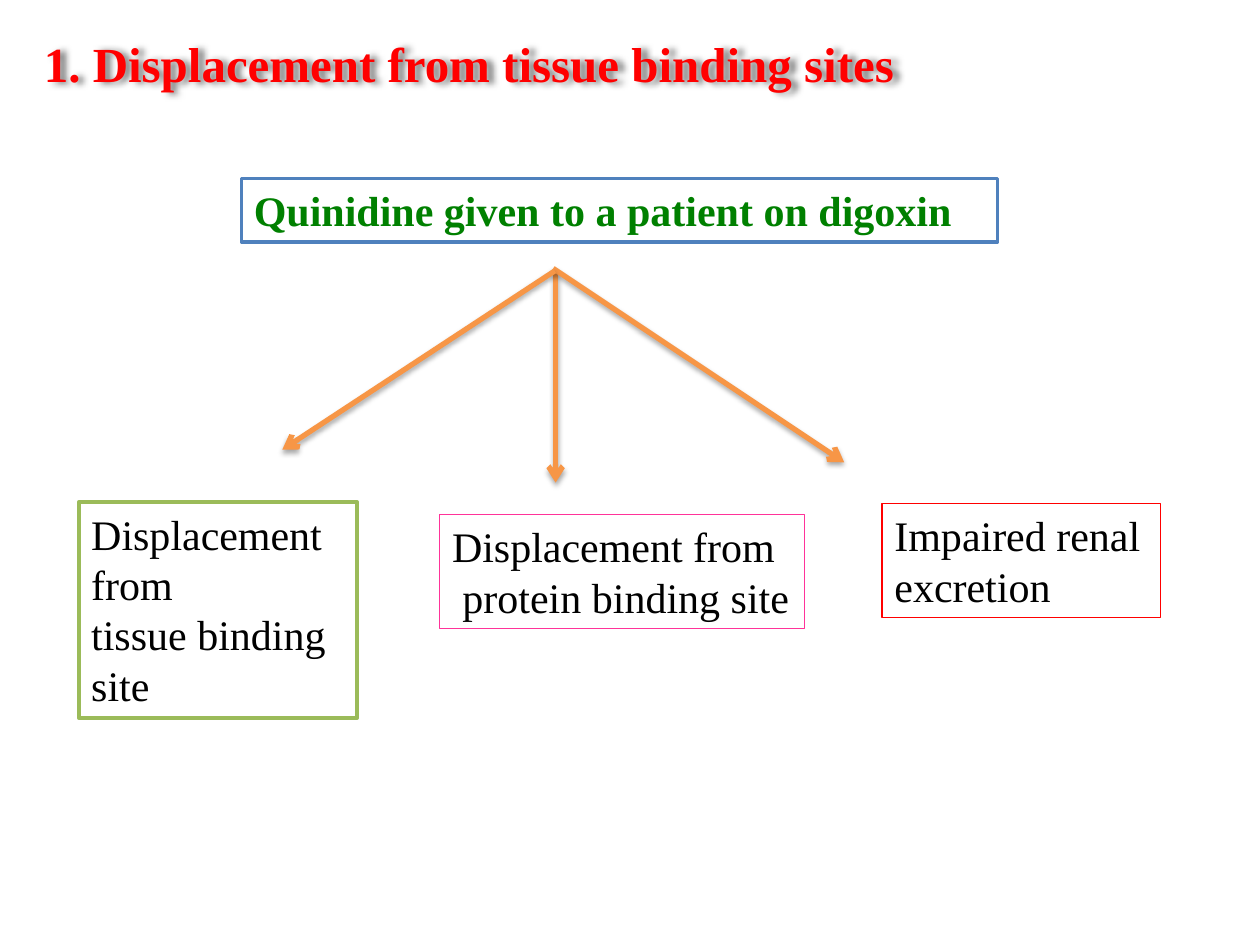
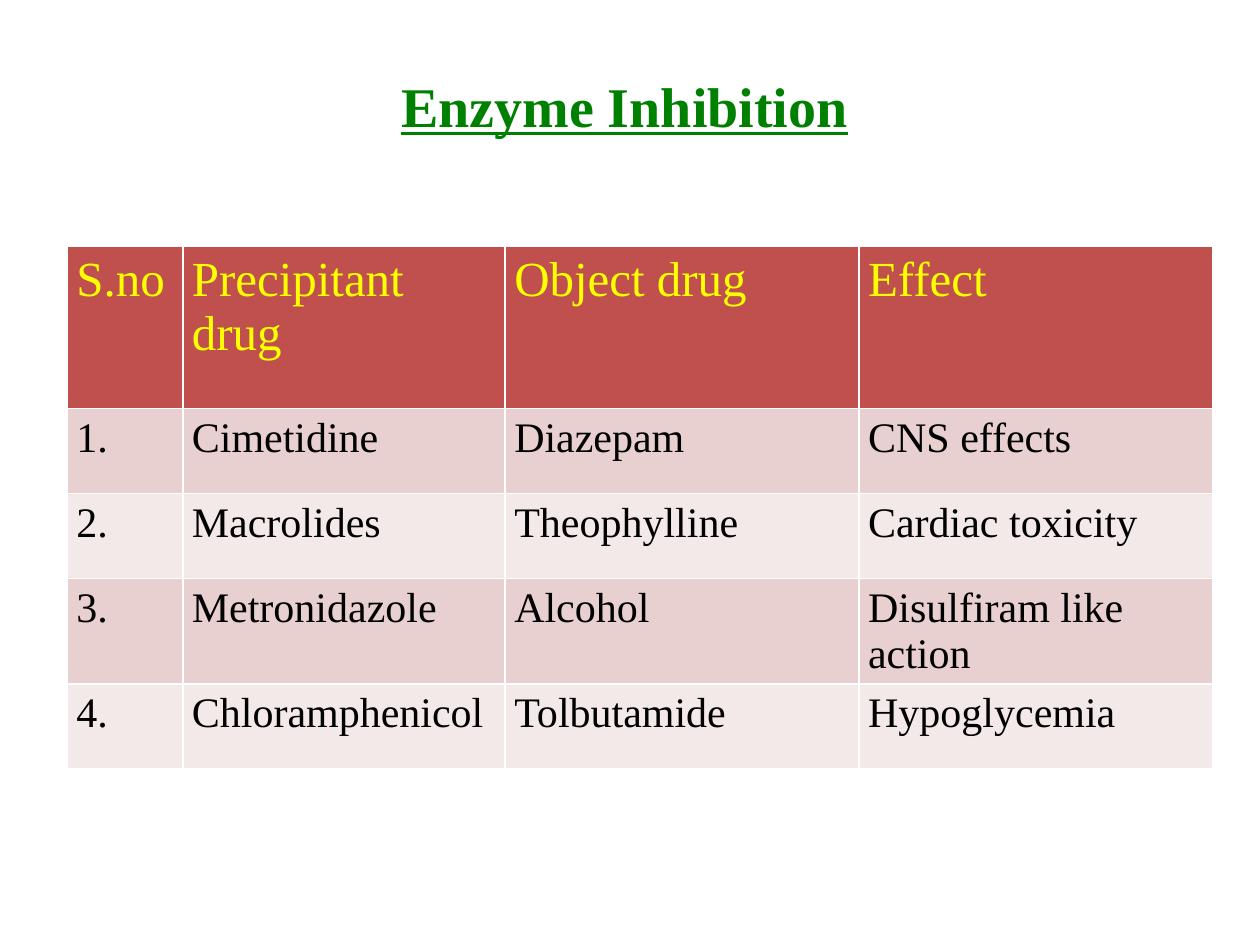
from lxml import etree
from pptx import Presentation
from pptx.dml.color import RGBColor
from pptx.enum.shapes import MSO_CONNECTOR, MSO_SHAPE
from pptx.enum.text import MSO_ANCHOR, PP_ALIGN
from pptx.oxml.ns import qn
from pptx.util import Pt

LINE = MSO_CONNECTOR.STRAIGHT
RECT = MSO_SHAPE.RECTANGLE
TOP = MSO_ANCHOR.TOP
LEFT, MID = PP_ALIGN.LEFT, PP_ALIGN.CENTER

FONT = "Times New Roman"
BLACK, WHITE = "000000", "FFFFFF"
RED, GREEN, YELLOW = "FF0000", "008000", "FFFF00"
BLUE, LIME, PINK, ORANGE = "4F81BD", "9BBB59", "FF3399", "F79646"
HEAD, BANDS = "C0504D", ("E8D0D0", "F4E9E9")


def tint(code):
    return RGBColor.from_string(code)


def write(frame, text, size=24, color=BLACK, bold=False, under=False,
          align=LEFT, lead=1.2):
    frame.text = text
    for para in frame.paragraphs:
        para.alignment = align
        if lead:
            para.line_spacing = Pt(size * lead)
        for run in para.runs:
            font = run.font
            font.name, font.size = FONT, Pt(size)
            font.bold, font.underline = bold, under
            font.color.rgb = tint(color)


def shade(shape, blur, dist, angle, alpha):
    props = shape._element.spPr
    for old in props.findall(qn("a:effectLst")):
        props.remove(old)
    glow = etree.SubElement(etree.SubElement(props, qn("a:effectLst")),
                            qn("a:outerShdw"), blurRad=str(Pt(blur)),
                            dist=str(Pt(dist)), dir=str(angle * 60000),
                            rotWithShape="0")
    ink = etree.SubElement(glow, qn("a:srgbClr"), val=BLACK)
    etree.SubElement(ink, qn("a:alpha"), val=str(alpha * 1000))


def edge(cell, width=1):
    props = cell._tc.get_or_add_tcPr()
    for spot, side in enumerate("LRTB"):
        line = etree.Element(qn(f"a:ln{side}"), w=str(Pt(width)))
        fill = etree.SubElement(line, qn("a:solidFill"))
        etree.SubElement(fill, qn("a:srgbClr"), val=WHITE)
        props.insert(spot, line)


class Deck:
    def __init__(self):
        self.show = Presentation()
        self.show.slide_width, self.show.slide_height = Pt(720), Pt(540)
        self.slide = None

    def page(self):
        self.slide = self.show.slides.add_slide(self.show.slide_layouts[6])

    def title(self, text, left, top, width, height, **style):
        box = self.slide.shapes.add_textbox(Pt(left), Pt(top), Pt(width), Pt(height))
        box.text_frame.word_wrap = True
        write(box.text_frame, text, bold=True, **style)
        return box

    def box(self, text, left, top, width, height, line, weight=0.75,
            fill=None, wrap=True, **style):
        shape = self.slide.shapes.add_shape(RECT, Pt(left), Pt(top), Pt(width), Pt(height))
        shape.shadow.inherit = False
        if fill:
            shape.fill.solid()
            shape.fill.fore_color.rgb = tint(fill)
        else:
            shape.fill.background()
        shape.line.color.rgb = tint(line)
        shape.line.width = Pt(weight)
        shape.text_frame.word_wrap = wrap
        shape.text_frame.vertical_anchor = TOP
        write(shape.text_frame, text, **style)

    def arrow(self, start, end):
        points = [Pt(value) for value in (*start, *end)]
        link = self.slide.shapes.add_connector(LINE, *points)
        link.line.color.rgb = tint(ORANGE)
        link.line.width = Pt(3)
        etree.SubElement(link.line._get_or_add_ln(), qn("a:tailEnd"), type="arrow")
        shade(link, 3.1, 1.8, 90, 35)

    def table(self, rows, left, top, widths, heights):
        grid = self.slide.shapes.add_table(
            len(rows), len(widths), Pt(left), Pt(top),
            Pt(sum(widths)), Pt(sum(heights))).table
        for col, width in zip(grid.columns, widths):
            col.width = Pt(width)
        for num, (row, height) in enumerate(zip(rows, heights)):
            grid.rows[num].height = Pt(height)
            fill = BANDS[(num - 1) % 2] if num else HEAD
            style = {} if num else {"size": 28, "color": YELLOW}
            for spot, text in enumerate(row):
                cell = grid.cell(num, spot)
                cell.margin_left = cell.margin_right = Pt(5.2)
                cell.margin_top = cell.margin_bottom = Pt(3.6)
                cell.fill.solid()
                cell.fill.fore_color.rgb = tint(fill)
                edge(cell)
                write(cell.text_frame, text, lead=None, **style)


def main():
    deck = Deck()

    deck.page()
    for start, end in (((317.5, 155), (317.5, 275.8)),
                       ((316.1, 153.4), (482.4, 264.2)),
                       ((317, 154.8), (161.3, 257))):
        deck.arrow(start, end)
    deck.box("Displacement from\ntissue binding site", 45, 286.8, 159, 123.6,
             LIME, weight=2, fill=WHITE)
    deck.box("Displacement from\n protein binding site", 251.2, 294, 208.6, 65.2,
             PINK, wrap=False)
    deck.box("Impaired renal excretion", 504, 287.8, 159, 65.2, RED)
    deck.box("Quinidine given to a patient on digoxin", 138, 102, 432, 36.4,
             BLUE, weight=2, fill=WHITE, color=GREEN, bold=True)
    head = deck.title("1. Displacement from tissue binding sites",
                      18, 15.8, 582, 41.2, size=28, color=RED)
    shade(head, 4, 3, 0, 50)

    deck.page()
    rows = [
        ("S.no", "Precipitant drug", "Object drug", "Effect"),
        ("1.", "Cimetidine", "Diazepam", "CNS effects"),
        ("2.", "Macrolides", "Theophylline", "Cardiac toxicity"),
        ("3.", "Metronidazole", "Alcohol", "Disulfiram like action"),
        ("4.", "Chloramphenicol", "Tolbutamide", "Hypoglycemia"),
    ]
    deck.table(rows, 38.5, 140.8, (66, 184.2, 202.2, 202.2), (92.6, *[48.6] * 4))
    deck.title("Enzyme Inhibition", 198, 37.4, 318, 45.4,
               size=32, color=GREEN, under=True, align=MID)

    deck.show.save("out.pptx")


if __name__ == "__main__":
    main()
